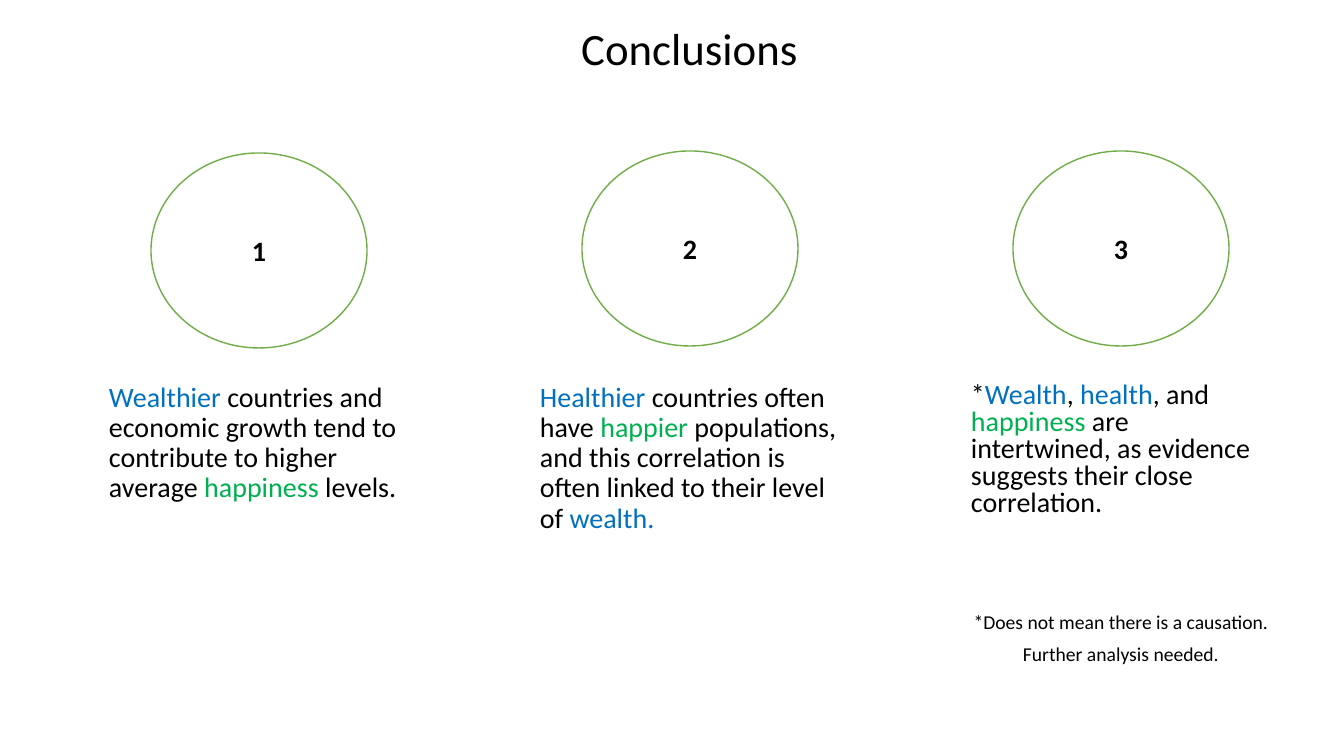
from dataclasses import dataclass

from pptx import Presentation
from pptx.dml.color import RGBColor
from pptx.enum.shapes import MSO_SHAPE
from pptx.enum.text import MSO_ANCHOR, PP_ALIGN
from pptx.util import Emu, Pt

OVAL = MSO_SHAPE.OVAL
MIDDLE = MSO_ANCHOR.MIDDLE
LEFT, CENTER = PP_ALIGN.LEFT, PP_ALIGN.CENTER
EMU_PER_PX = 914400 / 100.8


@dataclass(frozen=True)
class Theme:
    font: str = "Calibri"
    ink: RGBColor = RGBColor(0, 0, 0)
    paper: RGBColor = RGBColor(255, 255, 255)
    outline: RGBColor = RGBColor(0x70, 0xAD, 0x47)
    cause: RGBColor = RGBColor(0x00, 0x70, 0xC0)
    happy: RGBColor = RGBColor(0x00, 0xB0, 0x50)
    title_size: int = 32
    body_size: int = 20
    note_size: int = 14


THEME = Theme()
INK, CAUSE, HAPPY = THEME.ink, THEME.cause, THEME.happy

# Each conclusion: circle top, line spacing, coloured spans, footnotes
CONCLUSIONS = [
    (153, 0.9, [("Wealthier", CAUSE),
                (" countries and economic growth tend to contribute to higher average ", INK),
                ("happiness", HAPPY), (" levels.", INK)], []),
    (151, 0.9, [("Healthier", CAUSE), (" countries often have ", INK), ("happier ", HAPPY),
                ("populations, and this correlation is often linked to their level of ", INK),
                ("wealth.", CAUSE)], []),
    (151, 0.8, [("*", INK), ("Wealth", CAUSE), (", ", INK), ("health", CAUSE),
                (", and ", INK), ("happiness", HAPPY),
                (" are intertwined, as evidence suggests their close correlation.", INK)],
     ["*Does not mean there is a causation.", "Further analysis needed."]),
]


def px(length):
    return Emu(round(length * EMU_PER_PX))


def set_all(target, values):
    for name, value in values.items():
        setattr(target, name, value)


def fill_para(para, spans, size, bold=False, **layout):
    set_all(para, layout)
    for text, color in spans:
        span = para.add_run()
        span.text = text
        set_all(span.font, {"name": THEME.font, "size": Pt(size), "bold": bold})
        span.font.color.rgb = color


def add_text(page, left, top, width, height):
    box = page.shapes.add_textbox(*map(px, (left, top, width, height)))
    box.text_frame.word_wrap = True
    return box.text_frame


def add_title(page, left, top, width, height):
    frame = add_text(page, left, top, width, height)
    fill_para(frame.paragraphs[0], [("Conclusions", INK)], THEME.title_size, alignment=CENTER)


def add_circle(page, left, top, width, height, label):
    circle = page.shapes.add_shape(OVAL, *map(px, (left, top, width, height)))
    circle.shadow.inherit = False
    circle.fill.solid()
    circle.fill.fore_color.rgb = THEME.paper
    circle.line.color.rgb = THEME.outline
    circle.line.width = Pt(1)
    circle.text_frame.vertical_anchor = MIDDLE
    fill_para(circle.text_frame.paragraphs[0], [(label, INK)], THEME.body_size,
              bold=True, alignment=CENTER)


def add_conclusion(page, left, width, number, circle_top, spacing, spans, notes):
    # Numbered circle, centred over the column
    circle_width = 216
    add_circle(page, left + (width - circle_width) // 2, circle_top, circle_width, 195,
               str(number))

    # Finding, then its footnotes set well below
    frame = add_text(page, left, 378, width, 295)
    fill_para(frame.paragraphs[0], spans, THEME.body_size, alignment=LEFT,
              line_spacing=spacing, space_before=Pt(10))
    for index, note in enumerate(notes):
        fill_para(frame.add_paragraph(), [(note, INK)], THEME.note_size, alignment=CENTER,
                  line_spacing=spacing, space_before=Pt(10 if index else 69))


def main():
    deck = Presentation()
    set_all(deck, {"slide_width": px(1344), "slide_height": px(756)})
    page = deck.slides.add_slide(deck.slide_layouts[6])

    # Three equal columns under the title
    first_left, pitch, width = 99, 431, 320
    for index, conclusion in enumerate(CONCLUSIONS):
        add_conclusion(page, first_left + index * pitch, width, index + 1, *conclusion)
    add_title(page, 537, 16, 305, 65)
    deck.save("out.pptx")


if __name__ == "__main__":
    main()
